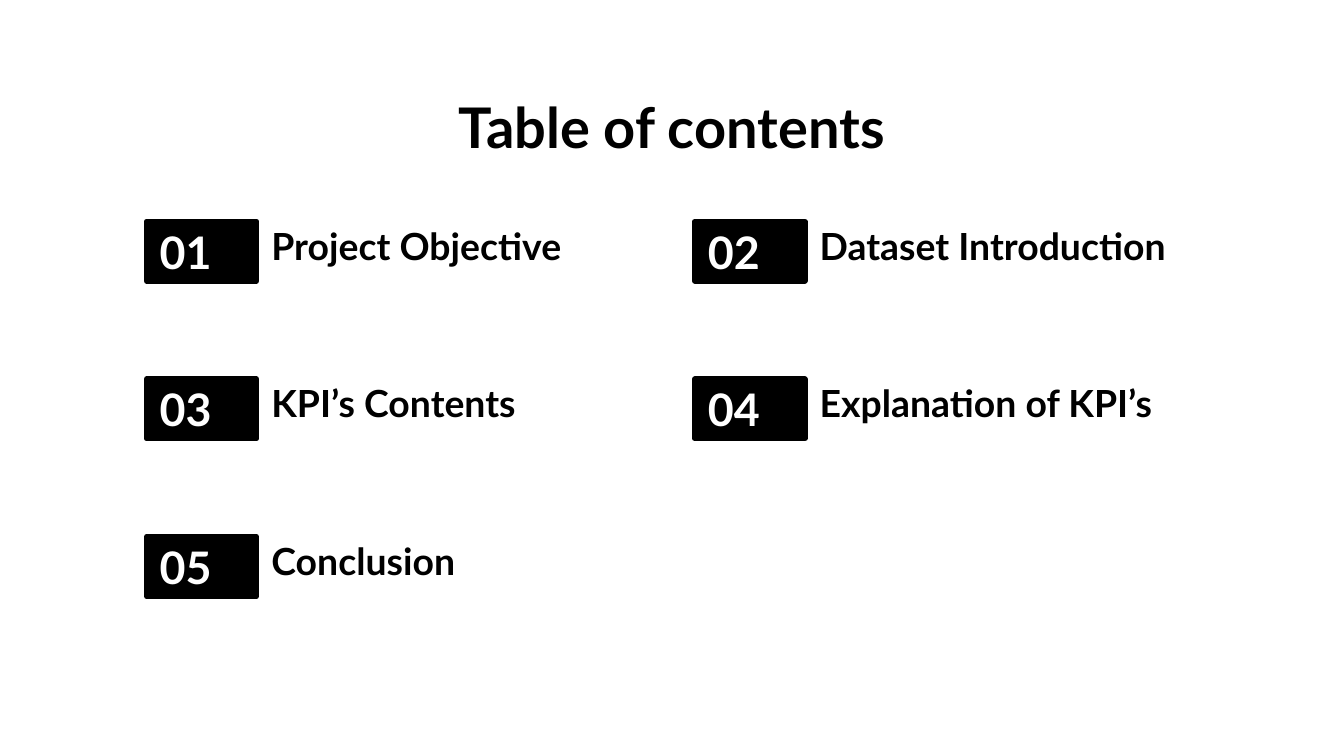
"""Build a table of contents slide with numbered sections in two columns."""
from lxml.etree import SubElement
from pptx import Presentation
from pptx.dml.color import RGBColor
from pptx.enum.shapes import MSO_SHAPE
from pptx.enum.text import MSO_ANCHOR, PP_ALIGN
from pptx.oxml.ns import qn
from pptx.util import Cm, Pt

BLACK = RGBColor(0, 0, 0)
WHITE = RGBColor(255, 255, 255)

COLUMNS = 2
LEFT, TOP = 2.77, 4.19
COLUMN_STEP, ROW_STEP = 10.36, 2.98
NUMBER_WIDTH, ROW_HEIGHT = 2.08, 1.12
LABEL_OFFSET = 2.11

SECTIONS = [
    ("Project Objective", 7.39),
    ("Dataset Introduction", 8.05),
    ("KPI’s Contents", 7.39),
    ("Explanation of KPI’s", 7.72),
    ("Conclusion", 7.39),
]


class ContentsPage:
    font_name = "Lato"
    inset = Cm(0.25)

    def __init__(self, page):
        self.page = page
        self.page.background.fill.solid()
        self.page.background.fill.fore_color.rgb = WHITE

    def fill_text(self, box, text, size, color, anchor, align=PP_ALIGN.LEFT):
        frame = box.text_frame
        frame_format = {
            "word_wrap": True,
            "vertical_anchor": anchor,
            "margin_left": self.inset,
            "margin_right": self.inset,
            "margin_top": self.inset,
            "margin_bottom": self.inset,
        }
        for name, value in frame_format.items():
            setattr(frame, name, value)
        para = frame.paragraphs[0]
        para.alignment = align
        span = para.add_run()
        span.text = text
        font_format = {"name": self.font_name, "size": Pt(size), "bold": True}
        for name, value in font_format.items():
            setattr(span.font, name, value)
        span.font.color.rgb = color

    def text(self, words, left, top, width, height, size, anchor, align=PP_ALIGN.LEFT):
        box = self.page.shapes.add_textbox(Cm(left), Cm(top), Cm(width), Cm(height))
        self.fill_text(box, words, size, BLACK, anchor, align)

    def number(self, digits, left, top):
        box = self.page.shapes.add_shape(
            MSO_SHAPE.RECTANGLE, Cm(left), Cm(top), Cm(NUMBER_WIDTH), Cm(ROW_HEIGHT)
        )
        box.shadow.inherit = False
        box.fill.solid()
        box.fill.fore_color.rgb = BLACK
        box.line.color.rgb = BLACK
        box.line.width = Pt(3)
        SubElement(box.element.spPr.find(qn("a:ln")), qn("a:round"))
        self.fill_text(box, digits, 24, WHITE, MSO_ANCHOR.MIDDLE)


def main():
    deck = Presentation()
    deck.slide_width, deck.slide_height = Cm(25.4), Cm(14.29)
    contents = ContentsPage(deck.slides.add_slide(deck.slide_layouts[6]))
    contents.text(
        "Table of contents", 2, 1.5, 21.4, 1.6, 30, MSO_ANCHOR.TOP, PP_ALIGN.CENTER
    )
    for index, (label, width) in enumerate(SECTIONS):
        row, column = divmod(index, COLUMNS)
        left = LEFT + column * COLUMN_STEP
        top = TOP + row * ROW_STEP
        contents.number(f"{index + 1:02d}", left, top)
        contents.text(
            label, left + LABEL_OFFSET, top, width, ROW_HEIGHT, 20, MSO_ANCHOR.BOTTOM
        )
    deck.save("out.pptx")


if __name__ == "__main__":
    main()
